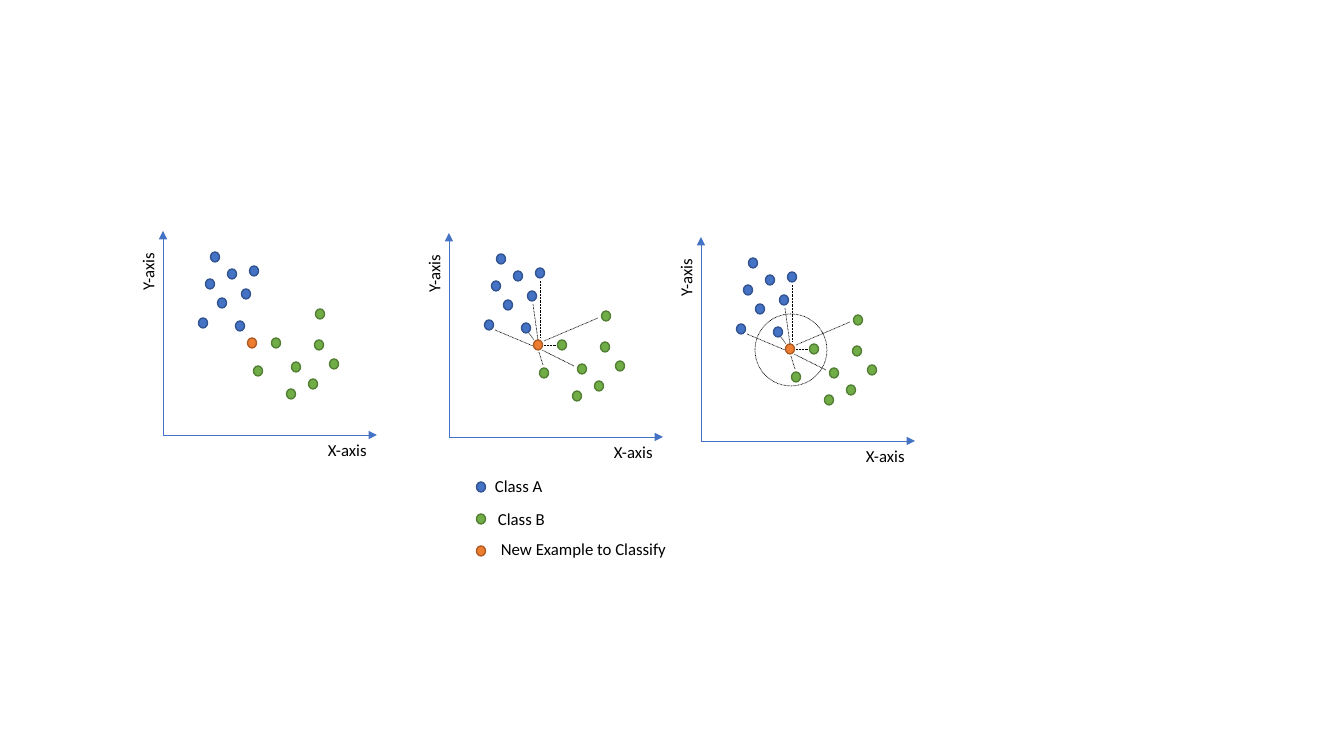
from dataclasses import dataclass

from lxml import etree
from pptx import Presentation
from pptx.dml.color import RGBColor
from pptx.enum.dml import MSO_LINE
from pptx.enum.shapes import MSO_CONNECTOR, MSO_SHAPE
from pptx.enum.text import MSO_AUTO_SIZE
from pptx.oxml.ns import qn
from pptx.util import Emu, Pt

ELLIPSE = MSO_SHAPE.OVAL
STRAIGHT = MSO_CONNECTOR.STRAIGHT
DOTTED = MSO_LINE.ROUND_DOT
GROW = MSO_AUTO_SIZE.SHAPE_TO_FIT_TEXT
SCALE = 914400 / 100.8


@dataclass(frozen=True)
class Theme:
    """Colours, font and sizes of the slide."""
    class_a: tuple = ("4472C4", "325491")
    class_b: tuple = ("70AD47", "538035")
    new: tuple = ("ED7D31", "AF5C24")
    axis: str = "4472C4"
    ink: str = "000000"
    font: str = "Calibri"
    text_pt: int = 12
    thin_pt: float = 0.5
    outline_pt: int = 1


THEME = Theme()
DOT_W, DOT_H = 9, 10
PLOT_W, PLOT_H = 214, 204
PLOT_ORIGINS = [(163, 231), (449, 233), (701, 237)]
CLASS_A = [(52, 26), (69, 43), (47, 53), (91, 40), (77, 95), (59, 72), (40, 92), (83, 63)]
CLASS_B = [(133, 136), (156, 114), (128, 163), (157, 83), (150, 153), (95, 140),
           (171, 133), (113, 112)]
NEW_EXAMPLE = [(89, 112)]
DISTANCES = [(95, 112, 107, 112), (80, 100, 85, 107), (94, 132, 90, 119), (84, 71, 89, 107),
             (125, 133, 93, 117), (46, 97, 84, 113), (95, 108, 149, 85), (91, 48, 91, 105)]
NEIGHBOURHOOD = (54, 77, 72, 72)
LEGEND = [("Class A", THEME.class_a, 9, 0, 98),
          ("Class B", THEME.class_b, 12, 33, 98),
          ("New Example to Classify", THEME.new, 15, 63, 206)]
LEGEND_STEP = 32


def px(*values):
    """Turn pixels into EMU."""
    return [Emu(round(v * SCALE)) for v in values]


def add_text(slide, text, x, y, w, h=30, wrap=True, rotation=0):
    """Add a one-line text box."""
    sp = slide.shapes.add_textbox(*px(x, y, w, h))
    sp.rotation = rotation
    tf = sp.text_frame
    tf.word_wrap = wrap
    tf.auto_size = GROW
    r = tf.paragraphs[0].add_run()
    r.text = text
    r.font.name = THEME.font
    r.font.size = Pt(THEME.text_pt)
    r.font.color.rgb = RGBColor.from_string(THEME.ink)


def add_ellipse(slide, x, y, w, h, line, width, fill=None, dash=None):
    """Add an ellipse, hollow when no fill is given."""
    sp = slide.shapes.add_shape(ELLIPSE, *px(x, y, w, h))
    sp.shadow.inherit = False
    if fill:
        sp.fill.solid()
        sp.fill.fore_color.rgb = RGBColor.from_string(fill)
    else:
        sp.fill.background()
    sp.line.color.rgb = RGBColor.from_string(line)
    sp.line.width = Pt(width)
    if dash:
        sp.line.dash_style = dash


def add_dot(slide, cx, cy, colors):
    """Add a data point centred on a position."""
    fill, line = colors
    add_ellipse(slide, cx - DOT_W / 2, cy - DOT_H / 2, DOT_W, DOT_H,
                line, THEME.outline_pt, fill=fill)


def add_line(slide, x1, y1, x2, y2, color, dash=None, arrow=False):
    """Add a thin straight line, with an arrowhead at its end if asked."""
    cxn = slide.shapes.add_connector(STRAIGHT, *px(x1, y1, x2, y2))
    cxn.line.color.rgb = RGBColor.from_string(color)
    cxn.line.width = Pt(THEME.thin_pt)
    if dash:
        cxn.line.dash_style = dash
    if arrow:
        etree.SubElement(cxn.line._get_or_add_ln(), qn("a:tailEnd"), type="triangle")
    etree.SubElement(cxn._element.spPr, qn("a:effectLst"))


def add_plot(slide, x, y, w, h, distances=False, neighbourhood=False):
    """Draw one scatter plot in its box."""
    for end_x, end_y in ((x, y), (x + w, y + h)):
        add_line(slide, x, y + h, end_x, end_y, THEME.axis, arrow=True)
    add_text(slide, "X-axis", x + w - 59, y + h, 60, wrap=False)
    add_text(slide, "Y-axis", x - 45, y + 25, 59, wrap=False, rotation=270)
    for points, colors in ((CLASS_A, THEME.class_a), (NEW_EXAMPLE, THEME.new),
                           (CLASS_B, THEME.class_b)):
        for dx, dy in points:
            add_dot(slide, x + dx, y + dy, colors)
    if distances:
        for x1, y1, x2, y2 in DISTANCES:
            add_line(slide, x + x1, y + y1, x + x2, y + y2, THEME.ink, dash=DOTTED)
    if neighbourhood:
        dx, dy, cw, ch = NEIGHBOURHOOD
        add_ellipse(slide, x + dx, y + dy, cw, ch, THEME.ink, THEME.thin_pt, dash=DOTTED)


def add_legend(slide, x, y):
    """Draw the legend from its top left corner."""
    for i, (label, colors, dx, dy, w) in enumerate(LEGEND):
        add_dot(slide, x + 5, y + 16 + i * LEGEND_STEP, colors)
        add_text(slide, label, x + dx, y + dy, w)


def main():
    """Build the slide and save it."""
    prs = Presentation()
    prs.slide_width, prs.slide_height = px(1344, 756)
    slide = prs.slides.add_slide(prs.slide_layouts[6])
    for i, (x, y) in enumerate(PLOT_ORIGINS):
        add_plot(slide, x, y, PLOT_W, PLOT_H, distances=i > 0, neighbourhood=i > 1)
    add_legend(slide, 476, 471)
    prs.save("out.pptx")


main()
